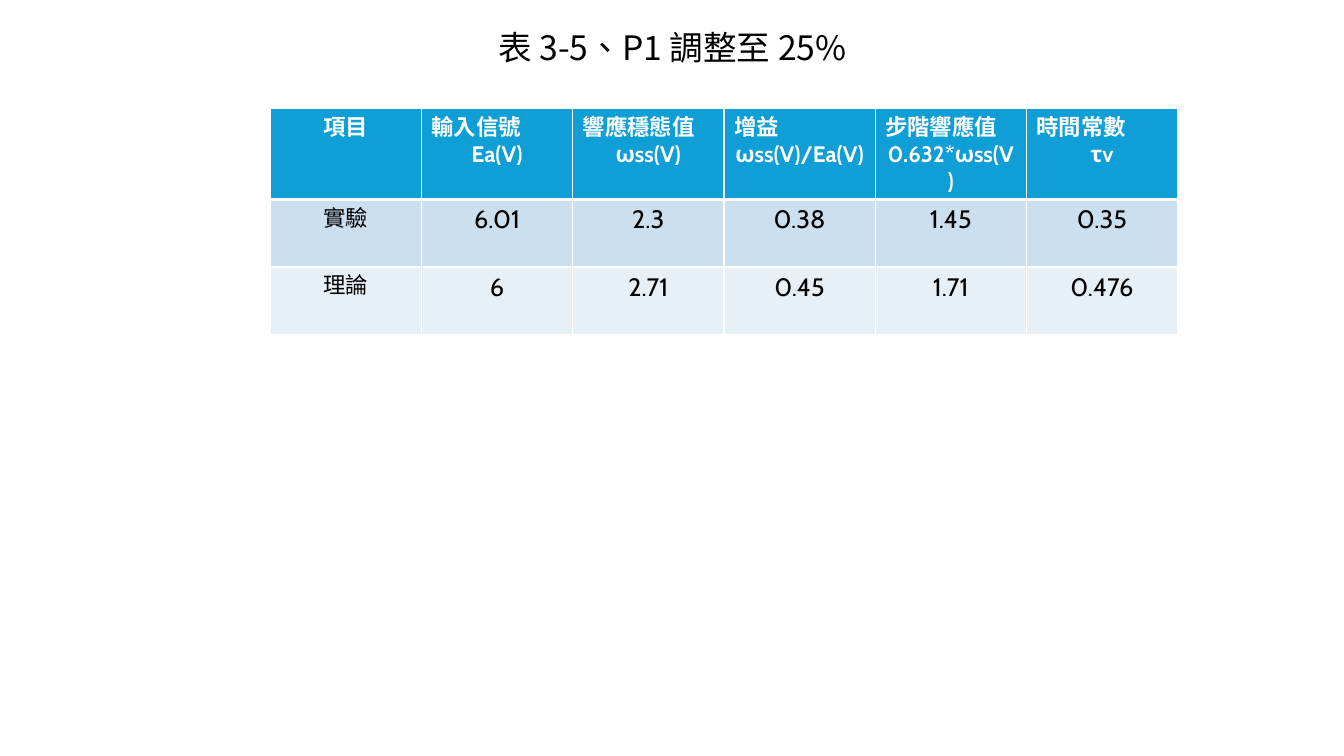
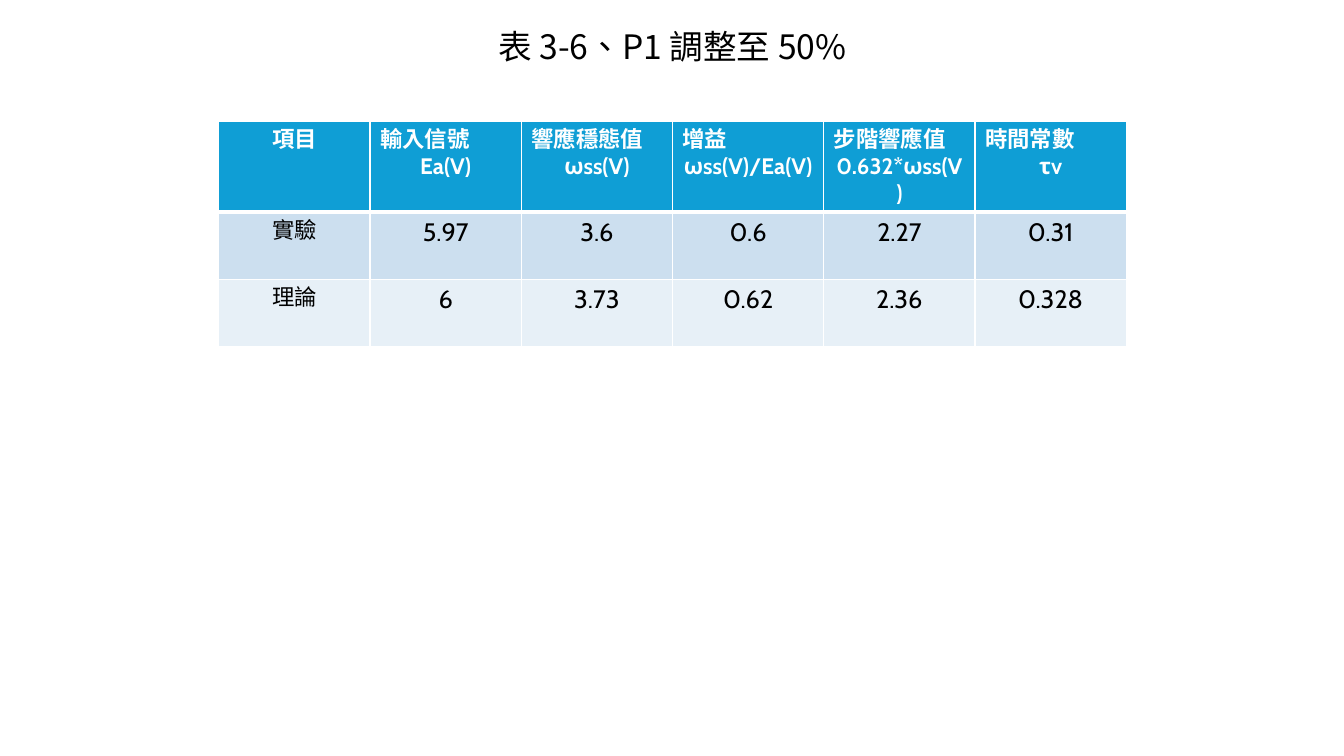
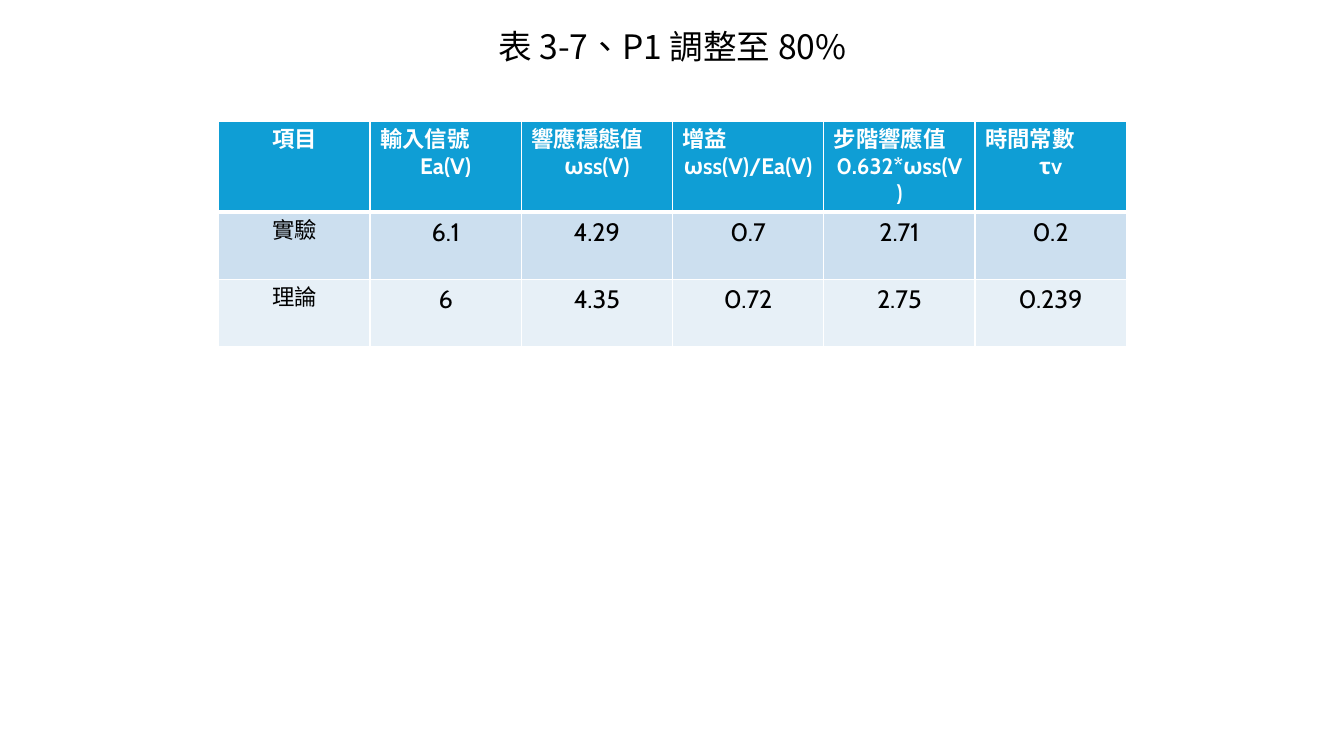
from pptx import Presentation
from pptx.dml.color import RGBColor as Color
from pptx.enum.lang import MSO_LANGUAGE_ID as Language
from pptx.enum.text import MSO_AUTO_SIZE as AutoSize, PP_ALIGN as Align
from pptx.oxml.ns import qn
from pptx.util import Inches, Pt
from lxml.etree import SubElement

COLORS = {
    "white": "FFFFFF",
    "black": "000000",
    "header": "0F9ED5",
    "experiment": "CCDFEF",
    "theory": "E7F0F7",
}
FORMATS = {
    "title": {"name": "Noto Sans CJK SC", "size": Pt(24), "bold": False},
    "header": {"name": "Cabin", "size": Pt(16), "bold": True},
    "label": {"name": "Cabin", "size": Pt(16), "bold": False},
    "value": {"name": "Cabin", "size": Pt(18), "bold": False},
}
ROW_FILLS = ["header", "experiment", "theory"]
COLUMN_WIDTH = 1.5
ROW_HEIGHT = 0.67
HEADERS = [
    ["項目"],
    ["輸入信號", "Ea(V)"],
    ["響應穩態值", "ωss(V)"],
    ["增益", "ωss(V)/Ea(V)"],
    ["步階響應值", "0.632*ωss(V)"],
    ["時間常數", "τv"],
]
RESULTS = [
    {
        "title": "表 3-5、P1 調整至 25%",
        "title_top": 0.21,
        "table_at": (2.68, 1.08),
        "實驗": ["6.01", "2.3", "0.38", "1.45", "0.35"],
        "理論": ["6", "2.71", "0.45", "1.71", "0.476"],
    },
    {
        "title": "表 3-6、P1 調整至 50%",
        "title_top": 0.2,
        "table_at": (2.17, 1.2),
        "實驗": ["5.97", "3.6", "0.6", "2.27", "0.31"],
        "理論": ["6", "3.73", "0.62", "2.36", "0.328"],
    },
    {
        "title": "表 3-7、P1 調整至 80%",
        "title_top": 0.2,
        "table_at": (2.17, 1.2),
        "實驗": ["6.1", "4.29", "0.7", "2.71", "0.2"],
        "理論": ["6", "4.35", "0.72", "2.75", "0.239"],
    },
]


def write_text(paragraph, text, style, color, alignment=Align.CENTER):
    paragraph.alignment = alignment
    run = paragraph.add_run()
    run.text = text
    for attribute, value in FORMATS[style].items():
        setattr(run.font, attribute, value)
    run.font.color.rgb = Color.from_string(COLORS[color])
    run.font.language_id = Language.TRADITIONAL_CHINESE
    east_asian = SubElement(run.font._element, qn("a:ea"))
    east_asian.set("typeface", FORMATS[style]["name"])


def add_title(slide, text, top):
    box = slide.shapes.add_textbox(Inches(4.8), Inches(top), Inches(3.74), Inches(0.5))
    frame = box.text_frame
    frame.word_wrap = True
    frame.auto_size = AutoSize.SHAPE_TO_FIT_TEXT
    paragraph = frame.paragraphs[0]
    paragraph.line_spacing = Pt(29.25)
    write_text(paragraph, text, "title", "black")


def set_borders(cell, widths):
    properties = cell._tc.get_or_add_tcPr()
    for side, width in widths.items():
        line = SubElement(properties, qn(f"a:ln{side}"), w=str(Pt(width)))
        fill = SubElement(line, qn("a:solidFill"))
        SubElement(fill, qn("a:srgbClr"), val=COLORS["white"])


def fill_cell(cell, lines, row, column):
    set_borders(cell, {"L": 1, "R": 1, "T": 3 if row == 1 else 1, "B": 3 if row == 0 else 1})
    cell.fill.solid()
    cell.fill.fore_color.rgb = Color.from_string(COLORS[ROW_FILLS[row]])
    style = "header" if row == 0 else "label" if column == 0 else "value"
    color = "white" if row == 0 else "black"
    frame = cell.text_frame
    for index, line in enumerate(lines):
        paragraph = frame.add_paragraph() if index else frame.paragraphs[0]
        is_last = index == len(lines) - 1
        write_text(paragraph, line, style, color, Align.CENTER if is_last else Align.LEFT)


def add_result_table(slide, result):
    rows = [HEADERS]
    for label in ("實驗", "理論"):
        rows.append([[text] for text in [label, *result[label]]])
    left, top = result["table_at"]
    table = slide.shapes.add_table(
        len(rows), len(HEADERS), Inches(left), Inches(top),
        Inches(COLUMN_WIDTH * len(HEADERS)), Inches(ROW_HEIGHT * len(rows)),
    ).table
    table.horz_banding = False
    for column in table.columns:
        column.width = Inches(COLUMN_WIDTH)
    for row_index, cells in enumerate(rows):
        table.rows[row_index].height = Inches(ROW_HEIGHT)
        for column_index, lines in enumerate(cells):
            fill_cell(table.cell(row_index, column_index), lines, row_index, column_index)


def main():
    presentation = Presentation()
    presentation.slide_width = Inches(13.33)
    presentation.slide_height = Inches(7.5)
    for result in RESULTS:
        slide = presentation.slides.add_slide(presentation.slide_layouts[6])
        add_title(slide, result["title"], result["title_top"])
        add_result_table(slide, result)
    presentation.save("out.pptx")


if __name__ == "__main__":
    main()
